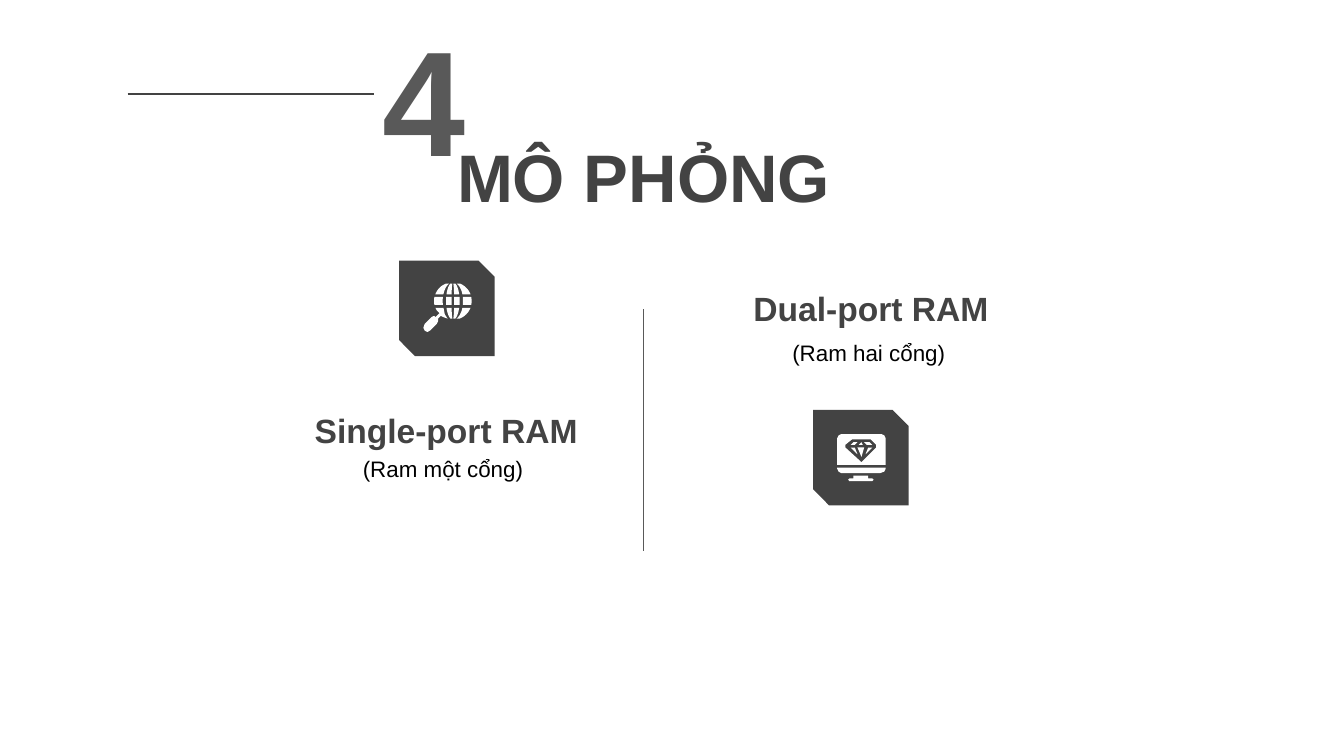
from math import sqrt

from lxml.etree import SubElement
from pptx import Presentation
from pptx.dml.color import RGBColor
from pptx.enum.shapes import MSO_CONNECTOR, MSO_SHAPE
from pptx.enum.text import MSO_ANCHOR, PP_ALIGN
from pptx.oxml.ns import qn
from pptx.util import Inches, Pt

DARK, GREY, BLACK, WHITE = "434343", "595959", "000000", "FFFFFF"


def rgb(value):
    return RGBColor.from_string(value)


class SlideBuilder:
    font = "Arial"

    def __init__(self, slide):
        self.s = slide

    def text(self, text, left, top, width, height, size, color, bold=True,
             anchor=MSO_ANCHOR.BOTTOM, align=PP_ALIGN.CENTER, inset=0.1):
        sp = self.s.shapes.add_textbox(Inches(left), Inches(top), Inches(width), Inches(height))
        tf = sp.text_frame
        tf.word_wrap = True
        tf.vertical_anchor = anchor
        tf.margin_left = tf.margin_right = Inches(0.1)
        tf.margin_top = tf.margin_bottom = Inches(inset)
        p = tf.paragraphs[0]
        p.text = text
        p.alignment = align
        p.font.name = self.font
        p.font.size = Pt(size)
        p.font.bold = bold
        p.font.color.rgb = rgb(color)

    def line(self, x1, y1, x2, y2, color):
        sp = self.s.shapes.add_connector(
            MSO_CONNECTOR.STRAIGHT, Inches(x1), Inches(y1), Inches(x2), Inches(y2))
        sp.line.color.rgb = rgb(color)
        sp.line.width = Pt(0.75)
        SubElement(sp._element.spPr, qn("a:effectLst"))

    def fill(self, sp, color):
        sp.shadow.inherit = False
        sp.fill.solid()
        sp.fill.fore_color.rgb = rgb(color)
        sp.line.fill.background()

    def icon(self, left, top, outlines):
        """Draw a snipped tile with white outlines; each outline is a list of contours."""
        group = self.s.shapes.add_group_shape()
        tile = group.shapes.add_shape(
            MSO_SHAPE.SNIP_2_DIAG_RECTANGLE, Inches(left), Inches(top), Inches(0.71), Inches(0.71))
        tile.adjustments[0] = 0
        tile.adjustments[1] = 0.167
        self.fill(tile, DARK)
        for contours in outlines:
            first, *holes = [[(Inches(x), Inches(y)) for x, y in c] for c in contours]
            builder = group.shapes.build_freeform(*first[0])
            builder.add_line_segments(first[1:])
            for hole in holes:
                builder.move_to(*hole[0])
                builder.add_line_segments(hole[1:])
            self.fill(builder.convert_to_shape(), WHITE)


def globe_outlines():
    """Cut a disc into cells between parallels and elliptical meridians, plus a handle."""
    cx, cy, radius, steps = 3.37, 2.24, 0.14, 8
    rows = [(2.11, 2.19), (2.21, 2.27), (2.29, 2.37)]
    columns = [(-1, -0.54), (-0.36, -0.07), (0.07, 0.36), (0.54, 1)]

    def meridian(k, top, bottom):
        ys = [top + (bottom - top) * i / steps for i in range(steps + 1)]
        return [(cx + k * sqrt(radius ** 2 - (y - cy) ** 2), y) for y in ys]

    handle = [(3.24, 2.29), (3.25, 2.31), (3.27, 2.33), (3.24, 2.36), (3.23, 2.35),
              (3.21, 2.36), (3.16, 2.41), (3.15, 2.44), (3.16, 2.46), (3.18, 2.47),
              (3.2, 2.46), (3.25, 2.41), (3.26, 2.39), (3.26, 2.37), (3.28, 2.35),
              (3.3, 2.36), (3.33, 2.37), (3.31, 2.34), (3.3, 2.29)]
    cells = [[meridian(west, *row) + meridian(east, *row)[::-1]]
             for row in rows for west, east in columns
             if (row, west) != (rows[-1], -1)]
    return cells + [[handle]]


def monitor_outlines():
    facets = [
        [(6.41, 3.29), (6.39, 3.31), (6.42, 3.31)],
        [(6.35, 3.29), (6.33, 3.31), (6.36, 3.31), (6.38, 3.29)],
        [(6.46, 3.33), (6.44, 3.38), (6.49, 3.33)],
        [(6.38, 3.33), (6.41, 3.4), (6.43, 3.33)],
        [(6.43, 3.29), (6.45, 3.31), (6.49, 3.31), (6.47, 3.29)],
        [(6.33, 3.33), (6.38, 3.38), (6.36, 3.33)],
    ]
    screen = [(6.26, 3.23), (6.24, 3.24), (6.23, 3.26), (6.23, 3.46),
              (6.59, 3.46), (6.59, 3.26), (6.58, 3.24), (6.56, 3.23)]
    gem = [(6.34, 3.27), (6.48, 3.27), (6.52, 3.31), (6.52, 3.33), (6.42, 3.43),
           (6.41, 3.44), (6.4, 3.43), (6.29, 3.33), (6.29, 3.31)]
    chin = [(6.23, 3.48), (6.23, 3.49), (6.24, 3.51), (6.26, 3.52),
            (6.55, 3.52), (6.58, 3.51), (6.59, 3.49), (6.59, 3.48)]
    stand = [(6.35, 3.54), (6.35, 3.56), (6.32, 3.56), (6.31, 3.57), (6.32, 3.58),
             (6.49, 3.58), (6.5, 3.57), (6.49, 3.56), (6.46, 3.56), (6.46, 3.54)]
    return [[facet] for facet in facets] + [[chin], [screen, gem], [stand]]


def main():
    prs = Presentation()
    prs.slide_width = Inches(10)
    prs.slide_height = prs.slide_width * 9 // 16
    b = SlideBuilder(prs.slides.add_slide(prs.slide_layouts[6]))

    b.text("MÔ PHỎNG", 1.94, 0.91, 5.7, 0.8, 36, DARK)
    b.text("(Ram một cổng) ", 2.2, 3.29, 2.24, 1.1, 12, BLACK, False, MSO_ANCHOR.TOP)
    b.text("Single-port RAM", 1.86, 2.98, 2.92, 0.47, 18, DARK)
    b.text("Dual-port RAM", 5.02, 2.07, 2.92, 0.47, 18, DARK)
    b.text("(Ram hai cổng)", 5.25, 2.42, 2.43, 0.39, 12, BLACK, False, MSO_ANCHOR.TOP)
    b.line(4.79, 2.3, 4.79, 4.1, GREY)
    b.icon(6.05, 3.05, monitor_outlines())
    b.icon(2.97, 1.94, globe_outlines())
    b.line(0.95, 0.7, 2.78, 0.7, DARK)
    b.text("4", 2.75, 0, 0.73, 1.45, 80, GREY, align=PP_ALIGN.LEFT, inset=0.06)

    prs.save("out.pptx")


if __name__ == "__main__":
    main()
